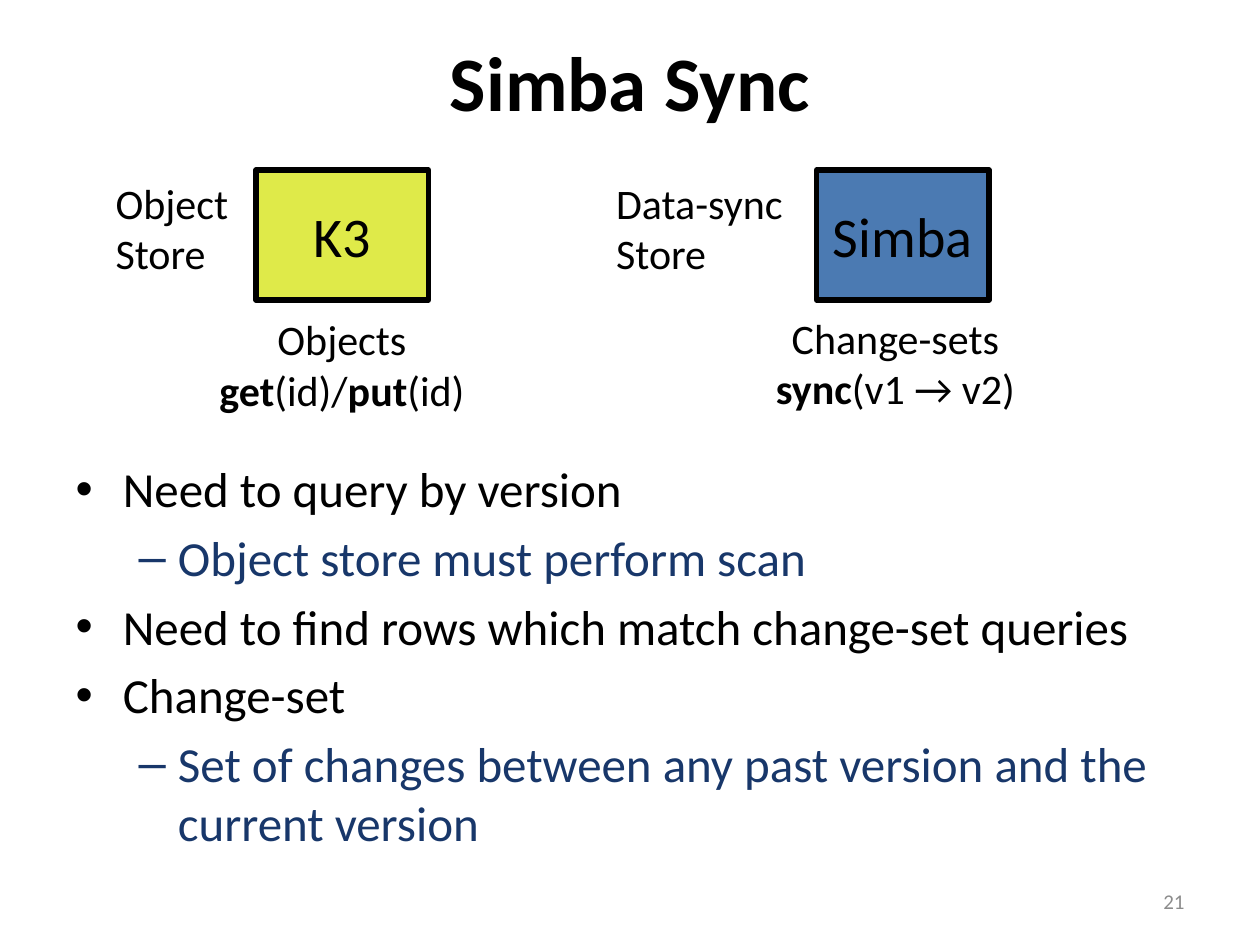
from pptx import Presentation
from pptx.dml.color import RGBColor
from pptx.enum.shapes import MSO_SHAPE
from pptx.enum.text import MSO_ANCHOR, MSO_AUTO_SIZE, PP_ALIGN
from pptx.util import Cm, Pt

TITLE = "Simba Sync"
PAGE = "21"
BLACK, NAVY, GREY = "000000", "18376A", "8C8C8C"
BULLETS = [
    (0, "Need to query by version"),
    (1, "Object store must perform scan"),
    (0, "Need to find rows which match change-set queries"),
    (0, "Change-set"),
    (1, "Set of changes between any past version and the current version"),
]
STORES = [
    {"name": "K3", "fill": "DFEA49", "left": 5.16,
     "label": ["Object", "Store"], "label_box": (2.08, 3.45, 2.79, 2.31),
     "caption": ["Objects", [("get", True), ("(id)/", False), ("put", True), ("(id)", False)]],
     "caption_box": (4.14, 6.2, 5.51, 2.31)},
    {"name": "Simba", "fill": "4B7AB2", "left": 16.46,
     "label": ["Data-sync", "Store"], "label_box": (12.17, 3.45, 3.94, 2.31),
     "caption": ["Change-sets", [("sync", True), ("(v1 → v2)", False)]],
     "caption_box": (15.32, 6.17, 5.46, 2.31)},
]
STORE_TOP, STORE_WIDTH, STORE_HEIGHT = 3.43, 3.48, 2.62


def rgb(value):
    """Turn a hex string into a colour."""
    return RGBColor.from_string(value)


def style(p, size, color=BLACK, align=None):
    """Format every run of a paragraph."""
    p.alignment = align
    for r in p.runs:
        r.font.name, r.font.size = "Calibri", Pt(size)
        r.font.color.rgb = rgb(color)


def place(sp, box):
    """Move a shape to a box given in centimetres."""
    sp.left, sp.top, sp.width, sp.height = map(Cm, box)


def add_text(s, box, lines, size=24, color=BLACK, align=PP_ALIGN.LEFT):
    """Add unwrapped lines, each a string or a list of (text, bold) runs."""
    tf = s.shapes.add_textbox(*map(Cm, box)).text_frame
    tf.word_wrap = False
    tf.auto_size = MSO_AUTO_SIZE.SHAPE_TO_FIT_TEXT
    for i, line in enumerate(lines):
        p = tf.add_paragraph() if i else tf.paragraphs[0]
        for text, bold in [(line, False)] if isinstance(line, str) else line:
            r = p.add_run()
            r.text, r.font.bold = text, bold
        style(p, size, color, align)
    return tf


def add_store(s, store):
    """Add a store box with its label on the left and its caption below."""
    sp = s.shapes.add_shape(MSO_SHAPE.RECTANGLE, Cm(store["left"]), Cm(STORE_TOP),
                            Cm(STORE_WIDTH), Cm(STORE_HEIGHT))
    sp.shadow.inherit = False
    sp.fill.solid()
    sp.fill.fore_color.rgb = rgb(store["fill"])
    sp.line.color.rgb = rgb(BLACK)
    sp.line.width = Pt(3)
    tf = sp.text_frame
    tf.margin_left = tf.margin_right = tf.margin_top = tf.margin_bottom = 0
    tf.vertical_anchor = MSO_ANCHOR.MIDDLE
    tf.text = store["name"]
    style(tf.paragraphs[0], 32, align=PP_ALIGN.CENTER)
    add_text(s, store["label_box"], store["label"])
    add_text(s, store["caption_box"], store["caption"], align=PP_ALIGN.CENTER)


def main():
    """Build the slide and save it."""
    prs = Presentation()
    prs.slide_width, prs.slide_height = Cm(25.4), Cm(19.05)
    s = prs.slides.add_slide(prs.slide_layouts[1])
    title, body = s.placeholders

    place(title, (1.27, 0.03, 22.86, 3.18))
    title.text_frame.text = TITLE
    title.text_frame.vertical_anchor = MSO_ANCHOR.MIDDLE
    p = title.text_frame.paragraphs[0]
    style(p, 44, align=PP_ALIGN.CENTER)
    p.runs[0].font.bold = True

    place(body, (1.27, 9.12, 22.86, 6.73))
    tf = body.text_frame
    tf.auto_size = MSO_AUTO_SIZE.NONE
    tf.text = "\n".join(text for _, text in BULLETS)
    for i, (p, (level, _)) in enumerate(zip(tf.paragraphs, BULLETS)):
        p.level = level
        p.space_before = Pt(5.6 if i else 0)
        style(p, 28, NAVY if level else BLACK)

    for store in STORES:
        add_store(s, store)

    tf = add_text(s, (18.21, 17.65, 5.92, 1.02), [PAGE], 12, GREY, PP_ALIGN.RIGHT)
    tf.auto_size = MSO_AUTO_SIZE.NONE
    tf.word_wrap = True
    tf.vertical_anchor = MSO_ANCHOR.MIDDLE
    prs.save("out.pptx")


if __name__ == "__main__":
    main()
